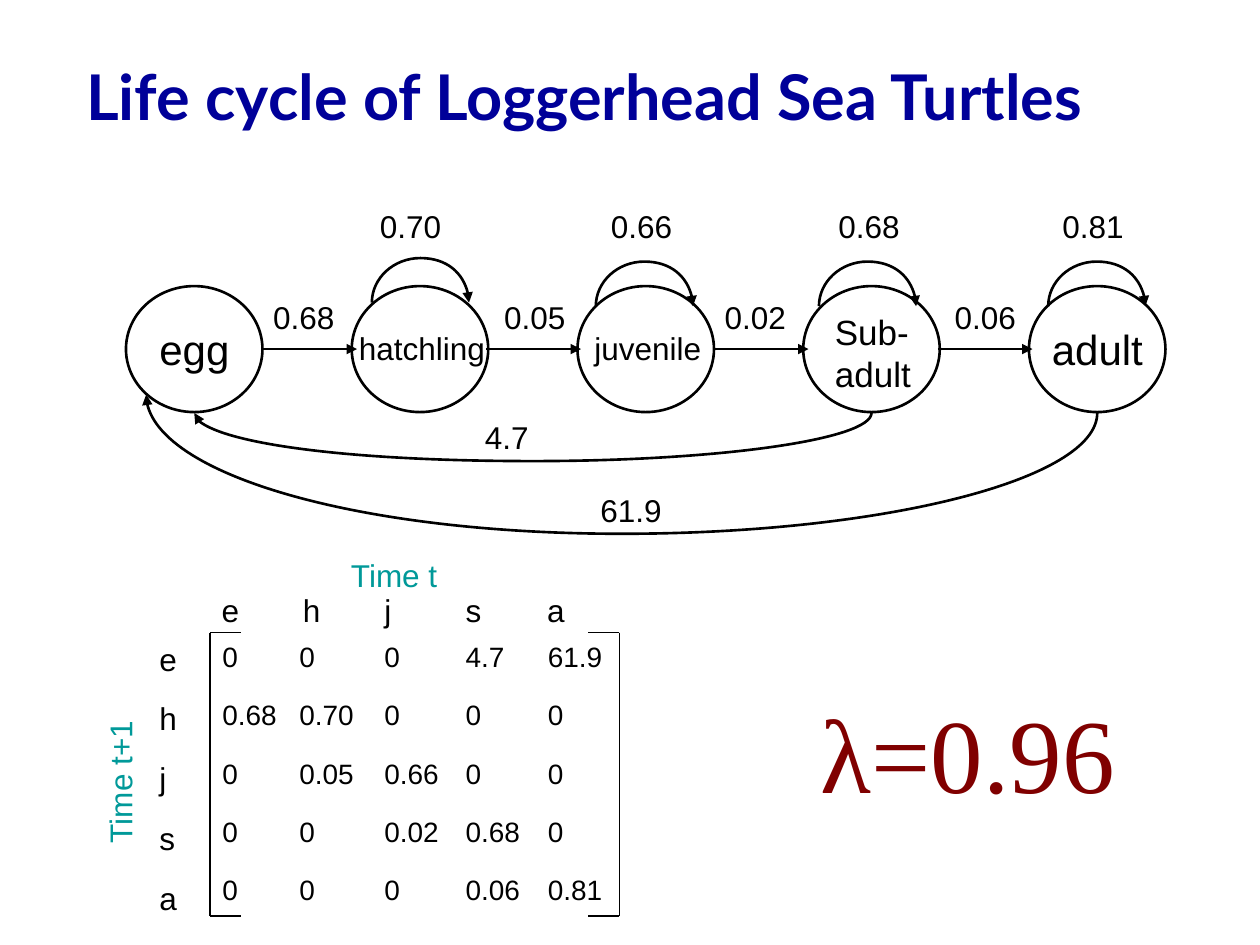
"""Build the loggerhead sea turtle life cycle slide."""
from dataclasses import dataclass
from typing import NamedTuple

from lxml.etree import SubElement
from pptx import Presentation
from pptx.dml.color import RGBColor
from pptx.enum.shapes import MSO_CONNECTOR, MSO_SHAPE
from pptx.enum.text import MSO_ANCHOR, MSO_AUTO_SIZE, PP_ALIGN
from pptx.oxml.ns import qn
from pptx.util import Pt


@dataclass(frozen=True)
class Theme:
    ink: RGBColor = RGBColor(0, 0, 0)
    title: RGBColor = RGBColor(0, 0, 0x99)
    time: RGBColor = RGBColor(0, 0x99, 0x99)
    growth: RGBColor = RGBColor(0x80, 0, 0)
    body_font: str = "Arial"
    title_font: str = "Lato"
    growth_font: str = "Times New Roman"
    cell_size: float = 16
    label_size: float = 18
    sub_size: float = 20
    stage_size: float = 24
    title_size: float = 36
    growth_size: float = 60
    thin: float = 0.75
    thick: float = 1.5


class Point(NamedTuple):
    x: float
    y: float


@dataclass(frozen=True)
class Label:
    text: str
    x: float
    y: float
    size: float = Theme.label_size
    color: RGBColor = Theme.ink
    font: str = Theme.body_font
    width: float | None = None
    rotation: float = 0


@dataclass(frozen=True)
class Arc:
    start: Point
    end: Point
    apex: float


T = Theme()
CHAR_EM = {".": 0.278, "j": 0.222, "i": 0.222, "l": 0.222, "t": 0.278, " ": 0.278, "-": 0.333,
           "s": 0.5, "c": 0.5, "v": 0.5, "T": 0.611, "m": 0.833, "+": 0.584}
CURVE = 0.55

STAGES = [
    Label("egg", 84, 181.5, T.stage_size),
    Label("hatchling", 198, 184.5),
    Label("juvenile", 332.5, 184.5),
    Label("Sub-\nadult", 470, 174, T.sub_size),
    Label("adult", 594, 181.5, T.stage_size),
]
ADVANCE_X = [150, 278, 408, 536]
RATES = [
    Label("0.68", 149, 166.5), Label("0.05", 281, 166.5),
    Label("0.02", 407, 166.5), Label("0.06", 538.5, 166.5),
    Label("0.70", 210, 115), Label("0.66", 342, 115),
    Label("0.68", 472, 115), Label("0.81", 600, 115),
    Label("4.7", 270, 235.5), Label("61.9", 336, 277),
]
LOOPS = [Point(212.5, 173), Point(340.5, 175), Point(468, 175), Point(599, 175)]
RETURNS = [
    Arc(Point(498, 236), Point(111, 236), 263.5),
    Arc(Point(627, 236), Point(83.5, 225.5), 305),
]
CLASSES = "ehjsa"
COLUMN_X = [120, 164, 212.5, 259, 306]
MATRIX = [
    ["0", "0", "0", "4.7", "61.9"],
    ["0.68", "0.70", "0", "0", "0"],
    ["0", "0.05", "0.66", "0", "0"],
    ["0", "0", "0.02", "0.68", "0"],
    ["0", "0", "0", "0.06", "0.81"],
]


def text_width(label: Label) -> float:
    """Return the box width that fits the longest line."""
    ems = [sum(CHAR_EM.get(c, 0.556) for c in line) for line in label.text.split("\n")]
    return 14.4 + label.size * max(ems)


def style(tf, size: float, font: str, color: RGBColor, bold: bool = False) -> None:
    """Format every run of a text frame."""
    for p in tf.paragraphs:
        for r in p.runs:
            r.font.size, r.font.name, r.font.bold = Pt(size), font, bold
            r.font.color.rgb = color


def add_label(s, label: Label) -> None:
    """Draw a text box sized to its text."""
    height = label.size * 1.2 * len(label.text.split("\n")) + 7.2
    width = label.width or text_width(label)
    sp = s.shapes.add_textbox(Pt(label.x), Pt(label.y), Pt(width), Pt(height))
    sp.rotation = label.rotation
    tf = sp.text_frame
    tf.text = label.text
    tf.word_wrap = label.width is not None
    tf.auto_size = MSO_AUTO_SIZE.SHAPE_TO_FIT_TEXT
    style(tf, label.size, label.font, label.color)


def set_line(sp, weight: float, arrow: bool = False) -> None:
    """Set the outline and an optional end arrowhead."""
    sp.line.color.rgb, sp.line.width = T.ink, Pt(weight)
    if arrow:
        SubElement(sp.line._get_or_add_ln(), qn("a:tailEnd"), type="triangle")


def add_line(s, a: Point, b: Point, weight: float, arrow: bool = False) -> None:
    """Draw a straight line."""
    sp = s.shapes.add_connector(MSO_CONNECTOR.STRAIGHT, Pt(a.x), Pt(a.y), Pt(b.x), Pt(b.y))
    set_line(sp, weight, arrow)
    SubElement(sp._element.spPr, qn("a:effectLst"))


def add_arc(s, arc: Arc) -> None:
    """Draw a curved arrow from two Bezier segments meeting at the apex."""
    a, b, apex = arc.start, arc.end, arc.apex
    mid = (a.x + b.x) / 2
    points = [
        Point(a.x, a.y + CURVE * (apex - a.y)),
        Point(mid + (1 - CURVE) * (a.x - mid) * 1.0 + 0.1 * (a.x - mid), apex),
        Point(mid, apex),
        Point(mid + CURVE * (b.x - mid), apex),
        Point(b.x, b.y + CURVE * (apex - b.y)),
        b,
    ]
    points[1] = Point(mid + CURVE * (a.x - mid), apex)
    fb = s.shapes.build_freeform(Pt(a.x), Pt(a.y))
    fb.add_line_segments([(Pt(p.x), Pt(p.y)) for p in points], close=False)
    sp = fb.convert_to_shape()
    sp.shadow.inherit = False
    sp.fill.background()
    set_line(sp, T.thick, arrow=True)
    outline = sp._element.spPr.find(".//" + qn("a:path"))
    steps = outline.findall(qn("a:lnTo"))
    for i in range(0, len(steps), 3):
        curve = SubElement(outline, qn("a:cubicBezTo"))
        for step in steps[i:i + 3]:
            curve.append(step[0])
            outline.remove(step)


def add_bracket(s, x: float, lip: float, top: float, bottom: float) -> None:
    """Draw one square matrix bracket."""
    add_line(s, Point(x, top), Point(x, bottom), T.thin)
    for y in (top, bottom):
        add_line(s, Point(x, y), Point(x + lip, y), T.thin)


def add_title(s, text: str) -> None:
    """Fill and place the title placeholder."""
    sp = s.shapes.title
    sp.left, sp.top, sp.width, sp.height = Pt(42), Pt(29), Pt(666), Pt(50.4)
    tf = sp.text_frame
    tf.text = text
    tf.vertical_anchor = MSO_ANCHOR.MIDDLE
    tf.paragraphs[0].alignment = PP_ALIGN.LEFT
    style(tf, T.title_size, T.title_font, T.title, bold=True)


def add_matrix(s) -> None:
    """Draw the projection matrix with its headings."""
    add_bracket(s, 120, 18, 361.5, 523.5)
    add_bracket(s, 354, -18, 361.5, 523.5)
    for i, (name, row) in enumerate(zip(CLASSES, MATRIX)):
        add_label(s, Label(name, 119.5 + 46.5 * i, 334))
        add_label(s, Label(name, 84, 362 + 34.2 * i))
        for x, value in zip(COLUMN_X, row):
            add_label(s, Label(value, x, 362 + 33.3 * i, T.cell_size))
    add_label(s, Label("Time t", 193.5, 314, color=T.time))
    add_label(s, Label("Time t+1", 26, 432, color=T.time, rotation=270))


def add_life_cycle(s) -> None:
    """Draw the stages and the transitions between them."""
    for i, stage in enumerate(STAGES):
        sp = s.shapes.add_shape(MSO_SHAPE.OVAL, Pt(72 + 129 * i), Pt(163.5), Pt(78), Pt(72))
        sp.shadow.inherit = False
        sp.fill.background()
        set_line(sp, T.thick)
        add_label(s, stage)
    for x in ADVANCE_X:
        add_line(s, Point(x, 199.5), Point(x + 54, 199.5), T.thick, arrow=True)
    loops = [Arc(p, Point(p.x + 55.5, p.y), p.y - 25.5) for p in LOOPS]
    for arc in loops + RETURNS:
        add_arc(s, arc)
    for rate in RATES:
        add_label(s, rate)


def main() -> None:
    """Build and save the slide."""
    prs = Presentation()
    prs.slide_width, prs.slide_height = Pt(720), Pt(540)
    s = prs.slides.add_slide(prs.slide_layouts[5])
    add_title(s, "Life cycle of Loggerhead Sea Turtles")
    add_matrix(s)
    add_life_cycle(s)
    add_label(s, Label("λ=0.96", 462, 390, T.growth_size, T.growth, T.growth_font, 210))
    prs.save("out.pptx")


if __name__ == "__main__":
    main()
